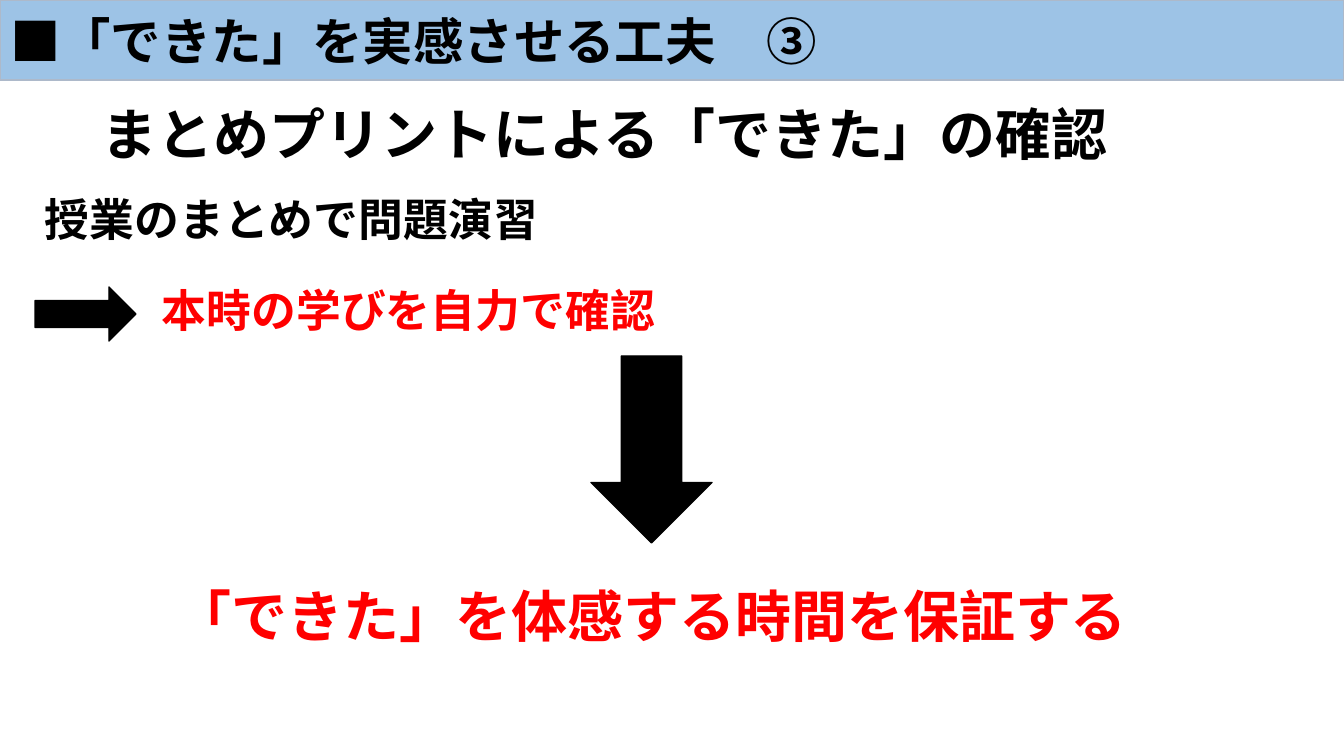
import pptx
import pptx.util
import pptx.dml.color
import pptx.enum.shapes
import pptx.enum.text
import pptx.oxml.ns
import lxml.etree

PX = 914400 / 100.8
FONT = "Noto Sans CJK JP"
COLOURS = {"band": "9DC3E6", "edge": "ADB9CA", "black": "000000", "red": "FF0000"}


def paint(shape, fill, line):
    shape.fill.solid()
    shape.fill.fore_color.rgb = pptx.dml.color.RGBColor.from_string(COLOURS[fill])
    shape.line.color.rgb = pptx.dml.color.RGBColor.from_string(COLOURS[line])
    shape.line.width = pptx.util.Pt(1)
    shape.shadow.inherit = False


def write(shape, text, size, colour, anchor, spacing):
    frame = shape.text_frame
    frame_format = {
        "word_wrap": True,
        "auto_size": pptx.enum.text.MSO_AUTO_SIZE.NONE,
        "vertical_anchor": anchor,
    }
    for name, value in frame_format.items():
        setattr(frame, name, value)
    para = frame.paragraphs[0]
    para.alignment = pptx.enum.text.PP_ALIGN.LEFT
    para.line_spacing = spacing
    span = para.add_run()
    span.text = text
    font_format = {"name": FONT, "size": pptx.util.Pt(size), "bold": True}
    for name, value in font_format.items():
        setattr(span.font, name, value)
    span.font.color.rgb = pptx.dml.color.RGBColor.from_string(COLOURS[colour])
    east_asian = lxml.etree.SubElement(span.font._element, pptx.oxml.ns.qn("a:ea"))
    east_asian.set("typeface", FONT)


deck = pptx.Presentation()
deck.slide_width = int(1344 * PX)
deck.slide_height = int(756 * PX)
page = deck.slides.add_slide(deck.slide_layouts[5])

title = page.shapes.title
title_place = {"left": 0, "top": 0, "width": 1344, "height": 80}
for side, length in title_place.items():
    setattr(title, side, int(length * PX))
paint(title, "band", "edge")
write(title, "■「できた」を実感させる工夫　③", 36, "black",
      pptx.enum.text.MSO_ANCHOR.MIDDLE, 1.0)

messages = [
    ("まとめプリントによる「できた」の確認", (92, 102, 1118, 73), 40, "black", 0.9),
    ("授業のまとめで問題演習", (35, 187, 580, 65), 32, "black", 1.0),
    ("本時の学びを自力で確認", (152, 278, 788, 65), 32, "red", 1.0),
    ("「できた」を体感する時間を保証する", (166, 577, 1044, 78), 40, "red", 1.0),
]
for text, place, size, colour, spacing in messages:
    box = page.shapes.add_textbox(*[int(length * PX) for length in place])
    write(box, text, size, colour, pptx.enum.text.MSO_ANCHOR.TOP, spacing)

arrows = [
    (pptx.enum.shapes.MSO_SHAPE.RIGHT_ARROW, (35, 287, 101, 54)),
    (pptx.enum.shapes.MSO_SHAPE.DOWN_ARROW, (591, 356, 121, 187)),
]
for kind, place in arrows:
    arrow = page.shapes.add_shape(kind, *[int(length * PX) for length in place])
    paint(arrow, "black", "black")

deck.save("out.pptx")
